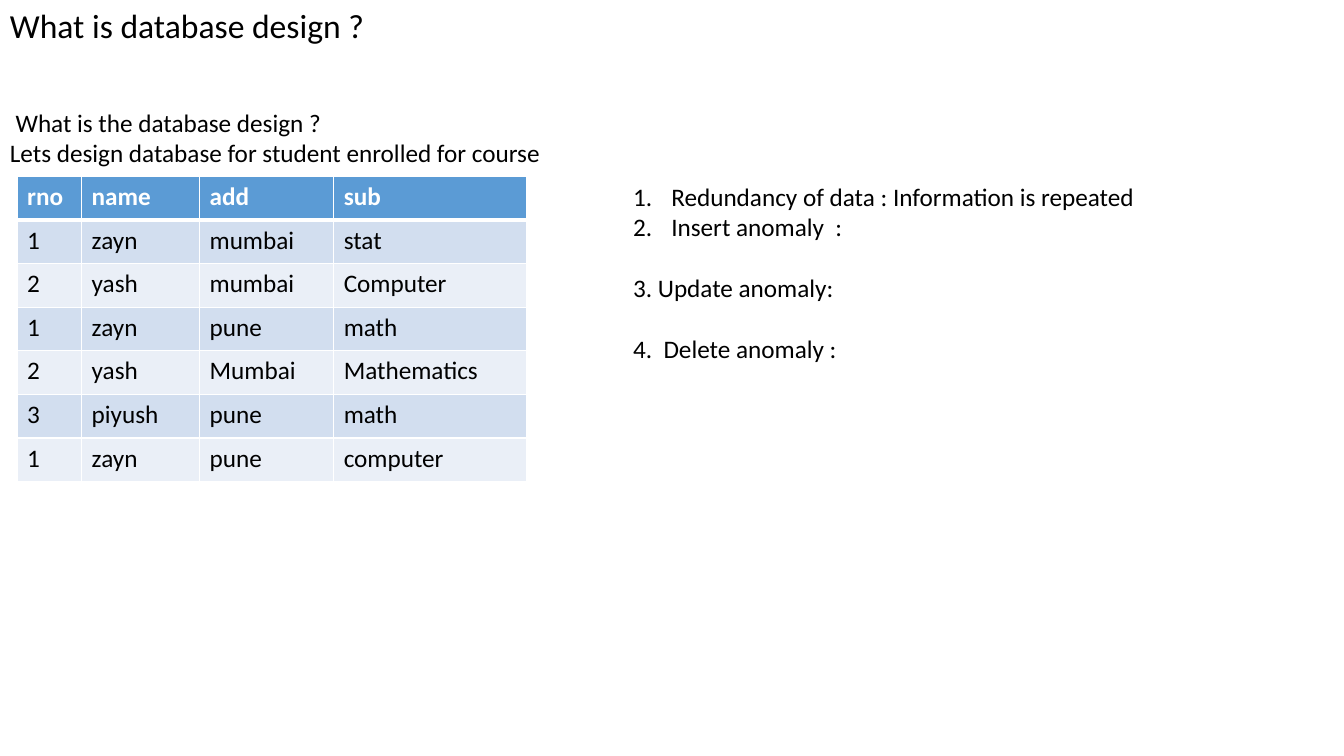
from lxml import etree
from pptx import Presentation
from pptx import util as u
from pptx.dml.color import RGBColor
from pptx.enum import text
from pptx.oxml import ns

COLOURS = {"ink": "000000", "white": "FFFFFF", "header": "5B9BD5",
           "odd": "D2DEEF", "even": "EAEFF7"}
BODY = 18
LINE = 22  # height of one body line, in points

# Content: text, size, lines of space before, numbered
INTRO = [
    ("What is database design ?", 24, 0, False),
    (" What is the database design ?", BODY, 2, False),
    ("Lets design database for student enrolled for course", BODY, 0, False),
]
ANOMALIES = [
    ("Redundancy of data : Information is repeated", BODY, 0, True),
    ("Insert anomaly  :", BODY, 0, True),
    ("3. Update anomaly:", BODY, 1, False),
    ("4.  Delete anomaly :", BODY, 1, False),
]
TEXT_BOXES = [
    ((0, 0, 13.21, 2.63), INTRO),
    ((6.18, 1.75, 7.05, 1.92), ANOMALIES),
]
STUDENTS = [
    ("rno", "name", "add", "sub"),
    ("1", "zayn", "mumbai", "stat"),
    ("2", "yash", "mumbai", "Computer"),
    ("1", "zayn", "pune", "math"),
    ("2", "yash", "Mumbai", "Mathematics"),
    ("3", "piyush", "pune", "math"),
    ("1", "zayn", "pune", "computer"),
]
TABLE_LEFT, TABLE_TOP = 0.17, 1.75
COLUMN_WIDTHS = [0.64, 1.17, 1.33, 1.91]
TABLE_HEIGHT = 3.03


def write(para, words, size=BODY, colour="ink", bold=False):
    span = para.add_run()
    span.text = words
    formats = {"name": "Calibri", "size": u.Pt(size), "bold": bold}
    for name, value in formats.items():
        setattr(span.font, name, value)
    span.font.color.rgb = RGBColor.from_string(COLOURS[colour])


def number(para):
    props = para._p.get_or_add_pPr()
    props.set("marL", str(u.Inches(0.38)))
    props.set("indent", str(-u.Inches(0.38)))
    etree.SubElement(props, ns.qn("a:buFont"), typeface="+mj-lt")
    etree.SubElement(props, ns.qn("a:buAutoNum"), type="arabicPeriod")


def add_text(page, place, lines):
    box = page.shapes.add_textbox(*map(u.Inches, place))
    frame = box.text_frame
    frame.word_wrap = True
    frame.auto_size = text.MSO_AUTO_SIZE.SHAPE_TO_FIT_TEXT
    for index, (words, size, gap, numbered) in enumerate(lines):
        para = frame.add_paragraph() if index else frame.paragraphs[0]
        para.space_before = u.Pt(gap * LINE)
        if numbered:
            number(para)
        write(para, words, size)


def add_borders(cell, widths):
    props = cell._tc.get_or_add_tcPr()
    for index, (side, width) in enumerate(widths.items()):
        line = etree.Element(ns.qn("a:ln" + side), w=str(u.Pt(width)))
        fill = etree.SubElement(line, ns.qn("a:solidFill"))
        etree.SubElement(fill, ns.qn("a:srgbClr"), val=COLOURS["white"])
        props.insert(index, line)


def add_students(page):
    frame = page.shapes.add_table(
        len(STUDENTS), len(COLUMN_WIDTHS), u.Inches(TABLE_LEFT), u.Inches(TABLE_TOP),
        u.Inches(sum(COLUMN_WIDTHS)), u.Inches(TABLE_HEIGHT))
    table = frame.table
    for column, width in zip(table.columns, COLUMN_WIDTHS):
        column.width = u.Inches(width)
    for r, record in enumerate(STUDENTS):
        header = r == 0
        shade = "header" if header else ("odd" if r % 2 else "even")
        for c, words in enumerate(record):
            cell = table.cell(r, c)
            cell.fill.solid()
            cell.fill.fore_color.rgb = RGBColor.from_string(COLOURS[shade])
            add_borders(cell, {"L": 1, "R": 1, "T": 3 if r == 1 else 1,
                               "B": 3 if header else 1})
            write(cell.text_frame.paragraphs[0], words,
                  colour="white" if header else "ink", bold=header)


def main():
    deck = Presentation()
    deck.slide_width, deck.slide_height = u.Inches(13.33), u.Inches(7.5)
    page = deck.slides.add_slide(deck.slide_layouts[6])
    # Heading, student table, list of anomalies
    (intro_place, intro), (list_place, anomalies) = TEXT_BOXES
    add_text(page, intro_place, intro)
    add_students(page)
    add_text(page, list_place, anomalies)
    deck.save("out.pptx")


if __name__ == "__main__":
    main()
